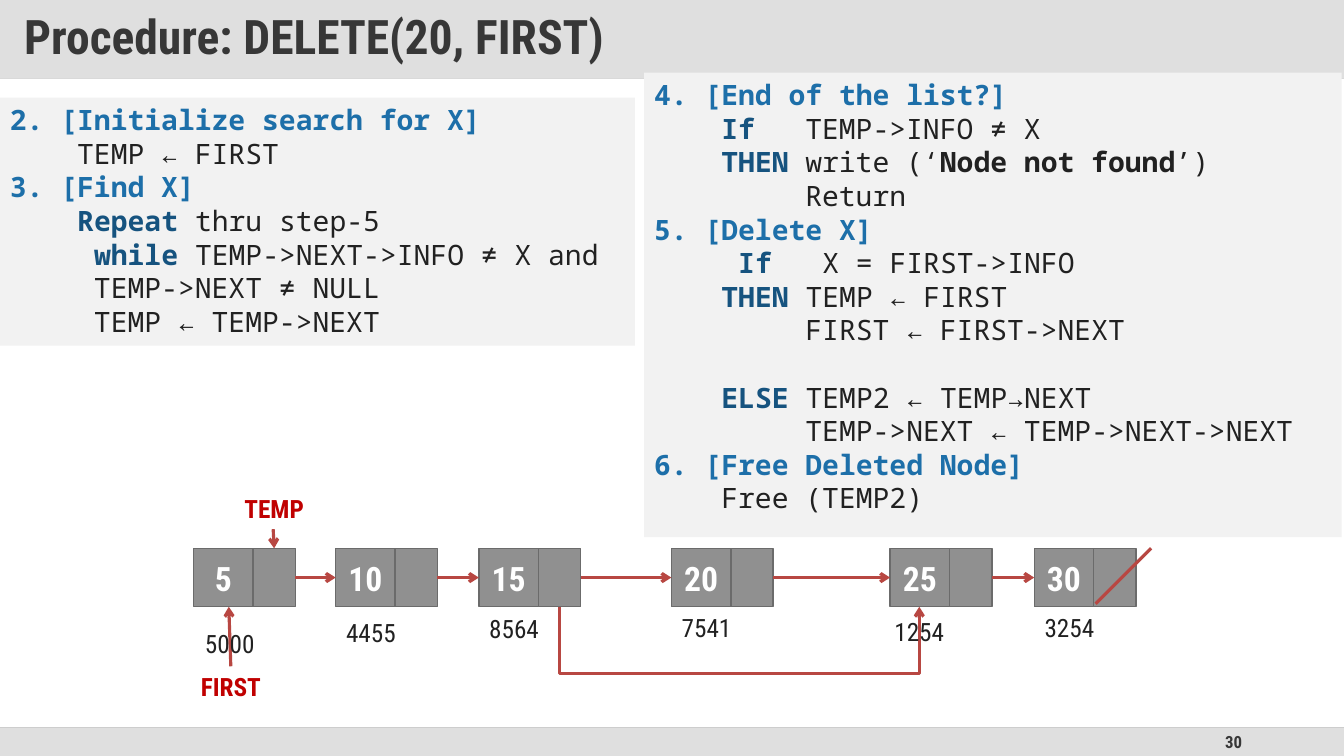
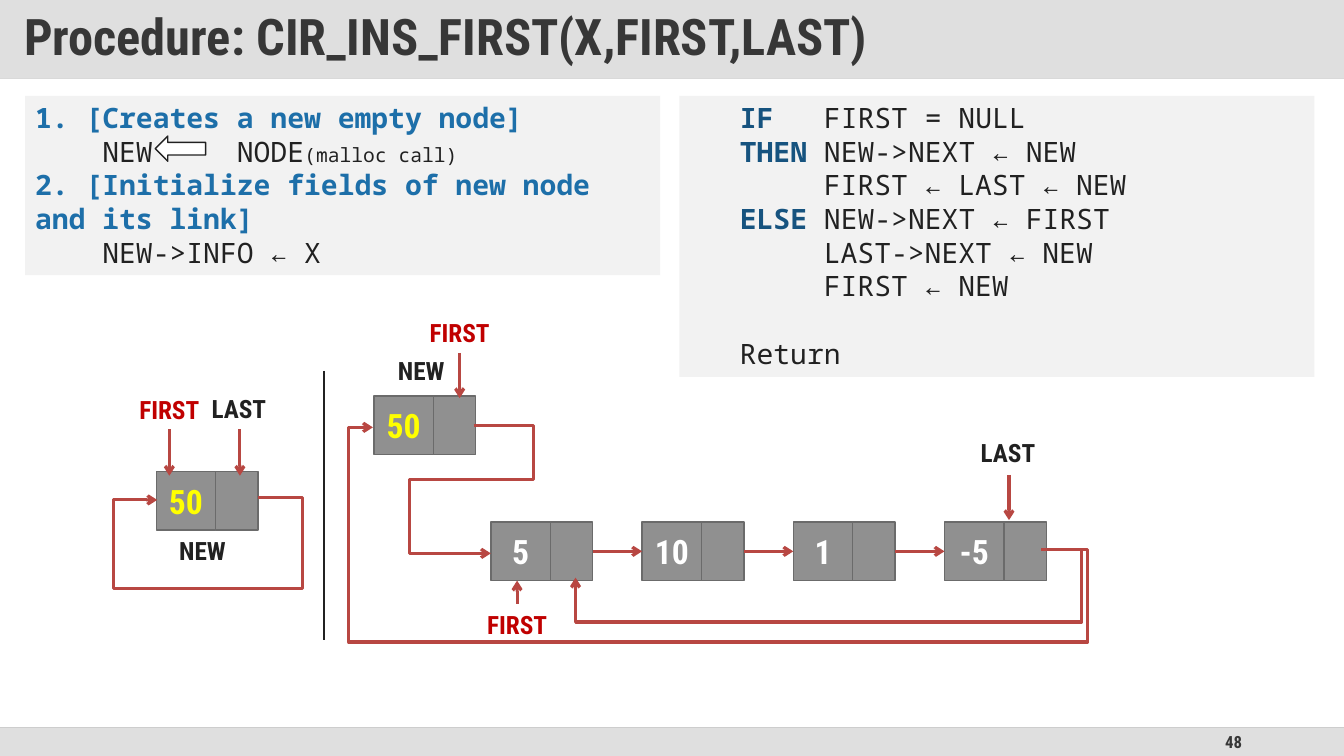
from dataclasses import dataclass, field
from typing import Any, NamedTuple

import lxml.etree
import pptx
import pptx.dml.color
import pptx.enum.shapes
import pptx.enum.text
import pptx.oxml.ns
import pptx.util

SHAPE = pptx.enum.shapes.MSO_SHAPE
ALIGN = pptx.enum.text.PP_ALIGN
ANCHOR = pptx.enum.text.MSO_ANCHOR

# One grid cell is a tenth of an inch.
COLUMNS, ROWS = 133.33, 75
BAND_ROWS, FOOTER_ROW = 7.8, 72.2
VALUE_COLUMNS, LINK_COLUMNS, NODE_ROWS = 5.9, 4.2, 5.8
NODE_COLUMNS = VALUE_COLUMNS + LINK_COLUMNS
LABEL_COLUMNS, LABEL_ROWS = 10, 4


class TextStyle(NamedTuple):
    size: float
    color: str
    bold: bool = False
    name: str = "Roboto Condensed"


@dataclass(frozen=True)
class Theme:
    band: str = "DFDFDF"
    band_edge: str = "D9D9D9"
    footer_edge: str = "CDCDCD"
    panel: str = "F2F2F2"
    paper: str = "FFFFFF"
    ink: str = "212121"
    node: str = "909090"
    node_edge: str = "6B6B6B"
    arrow: str = "B84742"
    code_line: float = 24
    title: TextStyle = TextStyle(36, "373737", True)
    long_title: TextStyle = TextStyle(34, "373737", True)
    page_number: TextStyle = TextStyle(12, "373737", True)
    value: TextStyle = TextStyle(24, "FFFFFF", True)
    new_value: TextStyle = TextStyle(24, "FFFF00", True)
    pointer: TextStyle = TextStyle(18, "C00000", True)
    name: TextStyle = TextStyle(18, "212121", True)
    address: TextStyle = TextStyle(18, "212121")
    step: TextStyle = TextStyle(20, "1D6FA9", True, "Noto Sans Mono")
    keyword: TextStyle = TextStyle(20, "16537F", True, "Noto Sans Mono")
    code: TextStyle = TextStyle(20, "212121", False, "Noto Sans Mono")
    strong_code: TextStyle = TextStyle(20, "212121", True, "Noto Sans Mono")
    small_code: TextStyle = TextStyle(14, "212121", False, "Noto Sans Mono")


THEME = Theme()


class Area(NamedTuple):
    left: float
    top: float
    width: float
    height: float


class Span(NamedTuple):
    text: str
    style: TextStyle


class CodeLine(NamedTuple):
    spans: list[Span]
    gap_before: float = 0


class Label(NamedTuple):
    text: str
    centre: float
    top: float
    style: TextStyle


class Node(NamedTuple):
    value: str
    left: float
    top: float
    style: TextStyle = THEME.value


class Route(NamedTuple):
    points: list[tuple[float, float]]
    arrow: bool = True
    color: str = THEME.arrow
    width: float = 2.25


class Panel(NamedTuple):
    area: Area
    lines: list[CodeLine]


@dataclass
class Page:
    title: str
    number: str
    title_style: TextStyle
    nodes: list[Node]
    routes: list[Route]
    labels: list[Label]
    panels: list[Panel]
    block_arrows: list[Area] = field(default_factory=list)


def grid(cells: float) -> int:
    return pptx.util.Inches(cells / 10)


def rgb(color: str) -> pptx.dml.color.RGBColor:
    return pptx.dml.color.RGBColor.from_string(color)


def set_all(target: Any, values: dict[str, Any]) -> None:
    for name, value in values.items():
        setattr(target, name, value)


def place(box: Any, area: Area) -> None:
    set_all(box, {name: grid(cells) for name, cells in area._asdict().items()})


def add_span(para: Any, text: str, style: TextStyle) -> None:
    span = para.add_run()
    span.text = text
    set_all(span.font, {"size": pptx.util.Pt(style.size), "bold": style.bold, "name": style.name})
    span.font.color.rgb = rgb(style.color)


def add_box(slide: Any, area: Area, fill: str, edge: str | None = None, kind: Any = SHAPE.RECTANGLE) -> Any:
    box = slide.shapes.add_shape(kind, *map(grid, area))
    box.shadow.inherit = False
    box.fill.solid()
    box.fill.fore_color.rgb = rgb(fill)
    if edge:
        box.line.color.rgb = rgb(edge)
        box.line.width = pptx.util.Pt(1)
    else:
        box.line.fill.background()
    return box


def add_text(slide: Any, area: Area, text: str, style: TextStyle, align: Any = ALIGN.CENTER) -> None:
    frame = slide.shapes.add_textbox(*map(grid, area)).text_frame
    set_all(frame, {"word_wrap": True, "vertical_anchor": ANCHOR.MIDDLE})
    frame.paragraphs[0].alignment = align
    add_span(frame.paragraphs[0], text, style)


def add_route(slide: Any, route: Route) -> None:
    """Two points make a connector; more points make an open bent line."""
    start, *rest = [(grid(x), grid(y)) for x, y in route.points]
    if len(rest) == 1:
        line = slide.shapes.add_connector(pptx.enum.shapes.MSO_CONNECTOR.STRAIGHT, *start, *rest[0])
    else:
        builder = slide.shapes.build_freeform(*start)
        builder.add_line_segments(rest, close=False)
        line = builder.convert_to_shape()
        line.fill.background()
    line.line.color.rgb = rgb(route.color)
    line.line.width = pptx.util.Pt(route.width)
    properties = line.element.spPr
    qn = pptx.oxml.ns.qn
    if route.arrow:
        lxml.etree.SubElement(properties.find(qn("a:ln")), qn("a:tailEnd"), type="arrow")
    lxml.etree.SubElement(properties, qn("a:effectLst"))


def add_node(slide: Any, node: Node) -> None:
    value_area = Area(node.left, node.top, VALUE_COLUMNS, NODE_ROWS)
    link_area = Area(node.left + VALUE_COLUMNS, node.top, LINK_COLUMNS, NODE_ROWS)
    box = add_box(slide, value_area, THEME.node, THEME.node_edge)
    add_box(slide, link_area, THEME.node, THEME.node_edge)
    para = box.text_frame.paragraphs[0]
    para.alignment = ALIGN.CENTER
    add_span(para, node.value, node.style)


def add_panel(slide: Any, panel: Panel) -> None:
    frame = add_box(slide, panel.area, THEME.panel).text_frame
    set_all(frame, {"word_wrap": True, "vertical_anchor": ANCHOR.TOP})
    for index, line in enumerate(panel.lines):
        para = frame.add_paragraph() if index else frame.paragraphs[0]
        para.alignment = ALIGN.LEFT
        if line.gap_before:
            para.space_before = pptx.util.Pt(line.gap_before)
        for span in line.spans:
            add_span(para, *span)


def add_frame(slide: Any, page: Page) -> None:
    """Title band, footer band, their edges and the page number."""
    title = slide.shapes.title
    place(title, Area(0, 0, COLUMNS, BAND_ROWS))
    title.fill.solid()
    title.fill.fore_color.rgb = rgb(THEME.band)
    set_all(title.text_frame, {
        "word_wrap": True, "vertical_anchor": ANCHOR.MIDDLE,
        "auto_size": pptx.enum.text.MSO_AUTO_SIZE.NONE,
        "margin_left": grid(2.4), "margin_right": grid(2.4),
        "margin_top": grid(1.2), "margin_bottom": grid(1.2)})
    para = title.text_frame.paragraphs[0]
    set_all(para, {"alignment": ALIGN.LEFT, "line_spacing": 0.9})
    add_span(para, page.title, page.title_style)
    footer_rows = ROWS - FOOTER_ROW
    add_box(slide, Area(0, FOOTER_ROW, COLUMNS, footer_rows), THEME.band)
    add_text(slide, Area(94.2, FOOTER_ROW, 30, footer_rows), page.number, THEME.page_number, ALIGN.RIGHT)
    for row, color in ((BAND_ROWS, THEME.band_edge), (FOOTER_ROW, THEME.footer_edge)):
        add_route(slide, Route([(0, row), (COLUMNS, row)], False, color, 1))


def add_page(deck: Any, page: Page) -> None:
    slide = deck.slides.add_slide(deck.slide_layouts[5])
    add_frame(slide, page)
    for node in page.nodes:
        add_node(slide, node)
    for route in page.routes:
        add_route(slide, route)
    for label in page.labels:
        area = Area(label.centre - LABEL_COLUMNS / 2, label.top, LABEL_COLUMNS, LABEL_ROWS)
        add_text(slide, area, label.text, label.style)
    for panel in page.panels:
        add_panel(slide, panel)
    for area in page.block_arrows:
        add_box(slide, area, THEME.paper, THEME.ink, SHAPE.LEFT_ARROW)


def step(text: str) -> CodeLine:
    return CodeLine([Span(text, THEME.step)])


def code(*parts: str | Span, gap_before: float = 0) -> CodeLine:
    spans = [Span(part, THEME.code) if isinstance(part, str) else part for part in parts]
    return CodeLine(spans, gap_before)


def key(text: str) -> Span:
    return Span(text, THEME.keyword)


def links(nodes: list[Node]) -> list[Route]:
    """Arrows from each node to the next one."""
    return [Route([(node.left + NODE_COLUMNS, node.top + NODE_ROWS / 2),
                   (after.left, after.top + NODE_ROWS / 2)])
            for node, after in zip(nodes, nodes[1:])]


def delete_page() -> Page:
    lefts = {"5": 19.2, "10": 33.3, "15": 47.5, "20": 66.6, "25": 88.3, "30": 102.6}
    nodes = [Node(value, left, 54.4) for value, left in lefts.items()]
    addresses = [("5000", 22.8, 61.8), ("4455", 36.8, 60.7), ("8564", 51, 60.3),
                 ("7541", 70.1, 60.2), ("1254", 91.2, 60.6), ("3254", 106.1, 60.2)]
    routes = links(nodes) + [
        Route([(108.7, 59.9), (114.2, 54.4)], False),
        Route([(22.9, 66.1), (22.7, 60.2)]),
        Route([(55.5, 60.2), (55.5, 66.8), (91.2, 66.8), (91.2, 60.2)]),
        Route([(27.1, 52.5), (27.2, 54.4)])]
    labels = [Label(*address, THEME.address) for address in addresses] + [
        Label("FIRST", 22.9, 66.1, THEME.pointer), Label("TEMP", 27.2, 48.4, THEME.pointer)]
    search = Panel(Area(0, 9.7, 63, 24.6), [
        step("2. [Initialize search for X]"), code("    TEMP ← FIRST"), step("3. [Find X]"),
        code("    ", key("Repeat"), " thru step-5"),
        code("     ", key("while"), " TEMP->NEXT->INFO ≠ X and"),
        code("     TEMP->NEXT ≠ NULL"), code("     TEMP ← TEMP->NEXT")])
    delete = Panel(Area(63.9, 7.2, 69.2, 46.1), [
        step("4. [End of the list?]"), code("    ", key("If"), "\tTEMP->INFO ≠ X"),
        code("    ", key("THEN"), "\twrite (‘", Span("Node not found", THEME.strong_code), "’)"),
        code("       \tReturn"), step("5. [Delete X]"),
        code("     ", key("If"), "   X = FIRST->INFO"),
        code("    ", key("THEN"), " TEMP ← FIRST"), code("         FIRST ← FIRST->NEXT"),
        code("    ", key("ELSE"), " TEMP2 ← TEMP→NEXT", gap_before=THEME.code_line),
        code("         TEMP->NEXT ← TEMP->NEXT->NEXT"),
        step("6. [Free Deleted Node]"), code("    Free (TEMP2)")])
    return Page("Procedure: DELETE(20, FIRST)", "30", THEME.long_title, nodes, routes, labels, [search, delete])


def insert_page() -> Page:
    nodes = [Node(value, 48.7 + 15 * index, 51.8) for index, value in enumerate(("5", "10", "1", "-5"))]
    new_nodes = [Node("50", 37.1, 39.3, THEME.new_value), Node("50", 15.5, 46.8, THEME.new_value)]
    routes = links(nodes) + [
        Route([(103.7, 54.5), (107.3, 54.5), (107.3, 61.7), (57.1, 61.7), (57.1, 57.3)]),
        Route([(51.3, 59.9), (51.3, 57.6)]),
        Route([(32.1, 36.8), (32.1, 63.5)], False, THEME.ink, 1.5),
        Route([(25.6, 49.4), (30, 49.4), (30, 58.4), (11.3, 58.4), (11.3, 49.6), (15.6, 49.6)]),
        Route([(16.8, 42.6), (16.8, 47.2)]), Route([(23.8, 42.6), (23.8, 47.2)]),
        Route([(100.1, 47.1), (100.1, 51.6)]),
        Route([(103.3, 54.5), (107.9, 54.5), (107.9, 63.7), (34.6, 63.7), (34.6, 42.4), (37, 42.4)]),
        Route([(47, 42.2), (52.9, 42.2), (52.9, 47.6), (40.6, 47.6), (40.6, 54.9), (48.7, 54.9)]),
        Route([(45.6, 35), (45.6, 39.5)])]
    pointers = [(51.3, 59.9), (16.8, 38.6), (45.6, 31)]
    names = [("NEW", 20.1, 52.6), ("NEW", 41.8, 34.8), ("LAST", 23.7, 38.5), ("LAST", 100, 42.9)]
    labels = [Label("FIRST", *spot, THEME.pointer) for spot in pointers]
    labels += [Label(*name, THEME.name) for name in names]
    create = Panel(Area(2.5, 9.5, 63, 17.8), [
        step("1. [Creates a new empty node]"),
        code("    NEW     NODE", Span("(malloc call)", THEME.small_code)),
        step("2. [Initialize fields of new node and its link]"), code("    NEW->INFO ← X")])
    insert = Panel(Area(67.4, 9.5, 63, 27.9), [
        code("   ", key("IF "), "  FIRST = NULL"), code("   ", key("THEN "), "NEW->NEXT ← NEW"),
        code("        FIRST ← LAST ← NEW"), code("   ", key("ELSE "), "NEW->NEXT ← FIRST"),
        code("        LAST->NEXT ← NEW"), code("        FIRST ← NEW"),
        code("   Return", gap_before=THEME.code_line)])
    return Page("Procedure: CIR_INS_FIRST(X,FIRST,LAST)", "48", THEME.title, nodes + new_nodes,
                routes, labels, [create, insert], [Area(15.4, 13.5, 5, 2.5)])


def main() -> None:
    deck = pptx.Presentation()
    set_all(deck, {"slide_width": grid(COLUMNS), "slide_height": grid(ROWS)})
    for page in (delete_page(), insert_page()):
        add_page(deck, page)
    deck.save("out.pptx")


if __name__ == "__main__":
    main()
